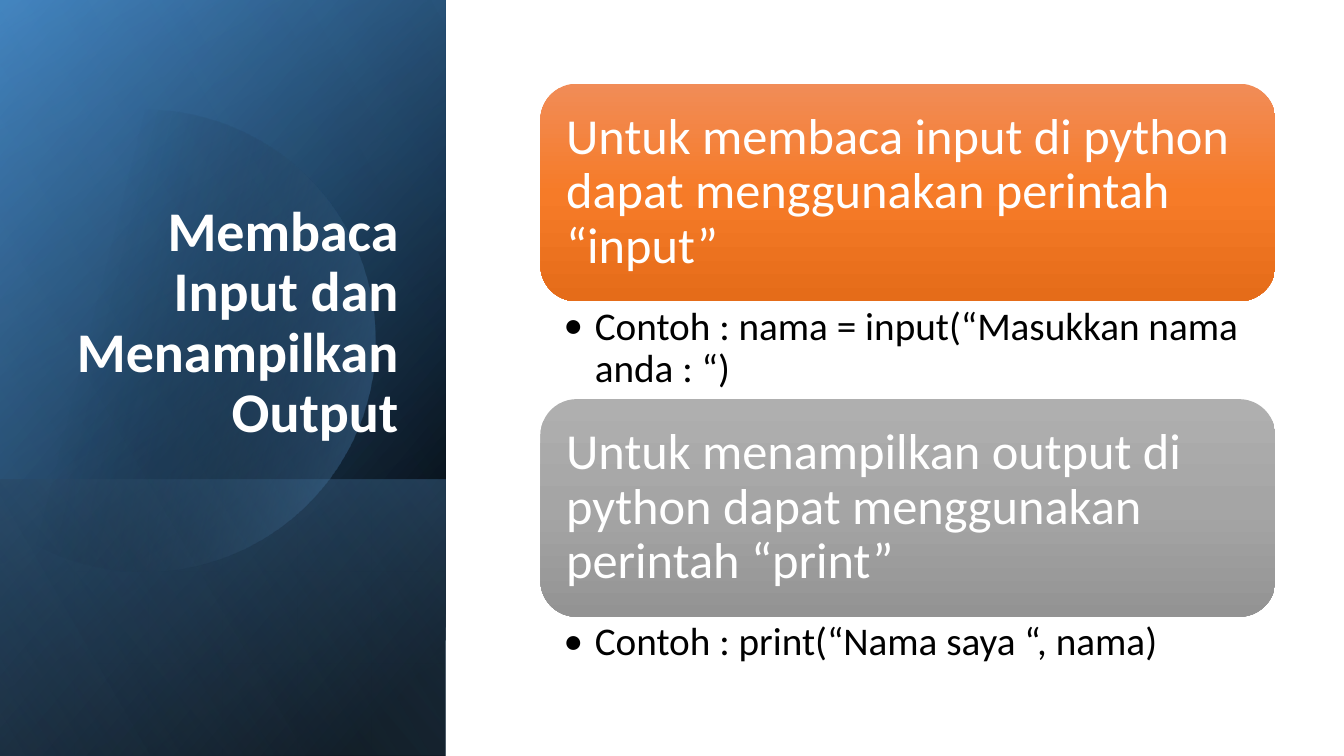
from math import cos, radians, sin

from lxml.etree import SubElement
from pptx import Presentation
from pptx.dml.color import RGBColor
from pptx.enum.shapes import MSO_SHAPE
from pptx.enum.text import MSO_ANCHOR, PP_ALIGN
from pptx.oxml.ns import qn
from pptx.util import Inches, Pt

COLORS = {
    "white": "FFFFFF", "black": "000000", "deep": "2E75B6", "blue": "5B9BD5", "pale": "9DC3E6",
    "orange_top": "F18C57", "orange": "F67B28", "orange_end": "E56C19",
    "gray_top": "AFAFAF", "gray": "A5A5A5", "gray_end": "939393",
}


def paint_gradient(shape, stops, angle):
    """Fill without outline; stops are (position %, colour name, opacity %)."""
    shape.shadow.inherit = False
    shape.line.fill.background()
    shape.fill.background()
    no_fill = shape._element.spPr.find(qn("a:noFill"))
    gradient = no_fill.makeelement(qn("a:gradFill"), {"rotWithShape": "1"})
    no_fill.getparent().replace(no_fill, gradient)
    stop_list = SubElement(gradient, qn("a:gsLst"))
    for position, name, opacity in stops:
        stop = SubElement(stop_list, qn("a:gs"), pos=str(position * 1000))
        color = SubElement(stop, qn("a:srgbClr"), val=COLORS[name])
        if opacity < 100:
            SubElement(color, qn("a:alpha"), val=str(opacity * 1000))
    SubElement(gradient, qn("a:lin"), ang=str(angle * 60000), scaled="0")


def write_text(shape, text, size, color, insets, anchor, align=PP_ALIGN.LEFT, bold=False):
    """Set one wrapped paragraph; insets are left, top, right, bottom in inches."""
    frame = shape.text_frame
    frame.word_wrap = True
    frame.vertical_anchor = anchor
    (frame.margin_left, frame.margin_top,
     frame.margin_right, frame.margin_bottom) = map(Inches, insets)
    frame.text = text
    para = frame.paragraphs[0]
    para.alignment = align
    para.line_spacing = 0.9
    font = para.runs[0].font
    font.name, font.size, font.bold = "Calibri", Pt(size), bold
    font.color.rgb = RGBColor.from_string(COLORS[color])
    return para


deck = Presentation()
deck.slide_width, deck.slide_height = Inches(13.33), Inches(7.5)
page = deck.slides.add_slide(deck.slide_layouts[6])

# Left panel: quarter-turned gradient layers, with a disc under the last one
PANEL_WIDTH = 4.42
FULL = (-1.54, 1.54, 7.5)
LOWER = (0.84, 3.92, 2.74)
panel_layers = [
    (FULL, [(8, "black", 100), (100, "deep", 100)], 50),
    (FULL, [(0, "black", 0), (99, "blue", 46)], 30),
    (LOWER, [(2, "blue", 29), (100, "black", 30)], 130),
    (None, [(29, "black", 0), (100, "blue", 43)], 14),
    (FULL, [(0, "black", 0), (99, "pale", 11)], 120),
]
DISC_X, DISC_Y, DISC_RADIUS = 1.43, 3.38, 2.29
for place, stops, angle in panel_layers:
    if place:
        left, top, length = place
        layer = page.shapes.add_shape(MSO_SHAPE.RECTANGLE, Inches(left), Inches(top),
                                      Inches(length), Inches(PANEL_WIDTH))
        layer.rotation = 90
        layer._element.spPr.xfrm.set("flipH", "1")
    else:
        arc = [(Inches(DISC_X + DISC_RADIUS * cos(radians(turn))),
                Inches(DISC_Y + DISC_RADIUS * sin(radians(turn))))
               for turn in range(-128, 129, 2)]
        outline = page.shapes.build_freeform(*arc[0])
        outline.add_line_segments(arc[1:], close=True)
        layer = outline.convert_to_shape()
    paint_gradient(layer, stops, angle)

title = page.shapes.add_textbox(Inches(0.64), Inches(1.84), Inches(3.41), Inches(2.62))
write_text(title, "Membaca Input dan Menampilkan Output", 40, "white",
           (0.1, 0.05, 0.1, 0.05), MSO_ANCHOR.BOTTOM, PP_ALIGN.RIGHT, bold=True)

# Right column: each card is followed by its example
COLUMN_LEFT, COLUMN_WIDTH, CARD_HEIGHT = Inches(5.36), Inches(7.29), 2.16
cards = [
    ("Untuk membaca input di python dapat menggunakan perintah “input”",
     "Contoh : nama = input(“Masukkan nama anda : “)", "orange", 0.97),
    ("Untuk menampilkan output di python dapat menggunakan perintah “print”",
     "Contoh : print(“Nama saya “, nama)", "gray", 0.65),
]
top = 0.83
for statement, example, tone, example_height in cards:
    card = page.shapes.add_shape(MSO_SHAPE.ROUNDED_RECTANGLE, COLUMN_LEFT, Inches(top),
                                 COLUMN_WIDTH, Inches(CARD_HEIGHT))
    paint_gradient(card, [(0, tone + "_top", 100), (50, tone, 100), (100, tone + "_end", 100)], 90)
    write_text(card, statement, 36, "white", (0.15,) * 4, MSO_ANCHOR.MIDDLE)
    top += CARD_HEIGHT

    box = page.shapes.add_textbox(COLUMN_LEFT, Inches(top), COLUMN_WIDTH, Inches(example_height))
    para = write_text(box, example, 28, "black", (0.23, 0.05, 0.28, 0.05), MSO_ANCHOR.TOP)
    bullet = para._p.get_or_add_pPr()
    bullet.set("marL", str(Inches(0.31)))
    bullet.set("indent", str(-Inches(0.31)))
    SubElement(bullet, qn("a:buFont"), typeface="Calibri")
    SubElement(bullet, qn("a:buChar"), char="•")
    top += example_height

deck.save("out.pptx")
